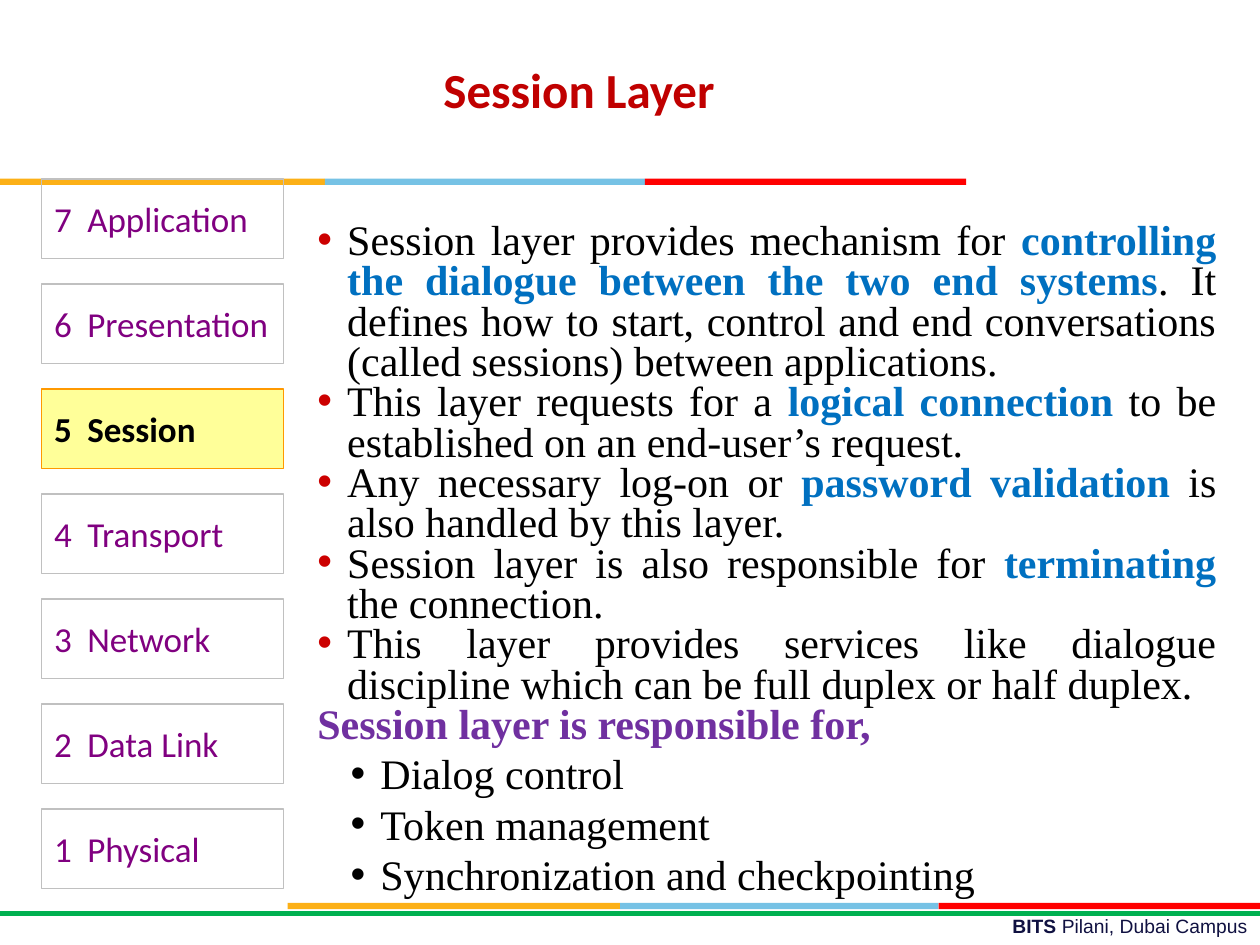
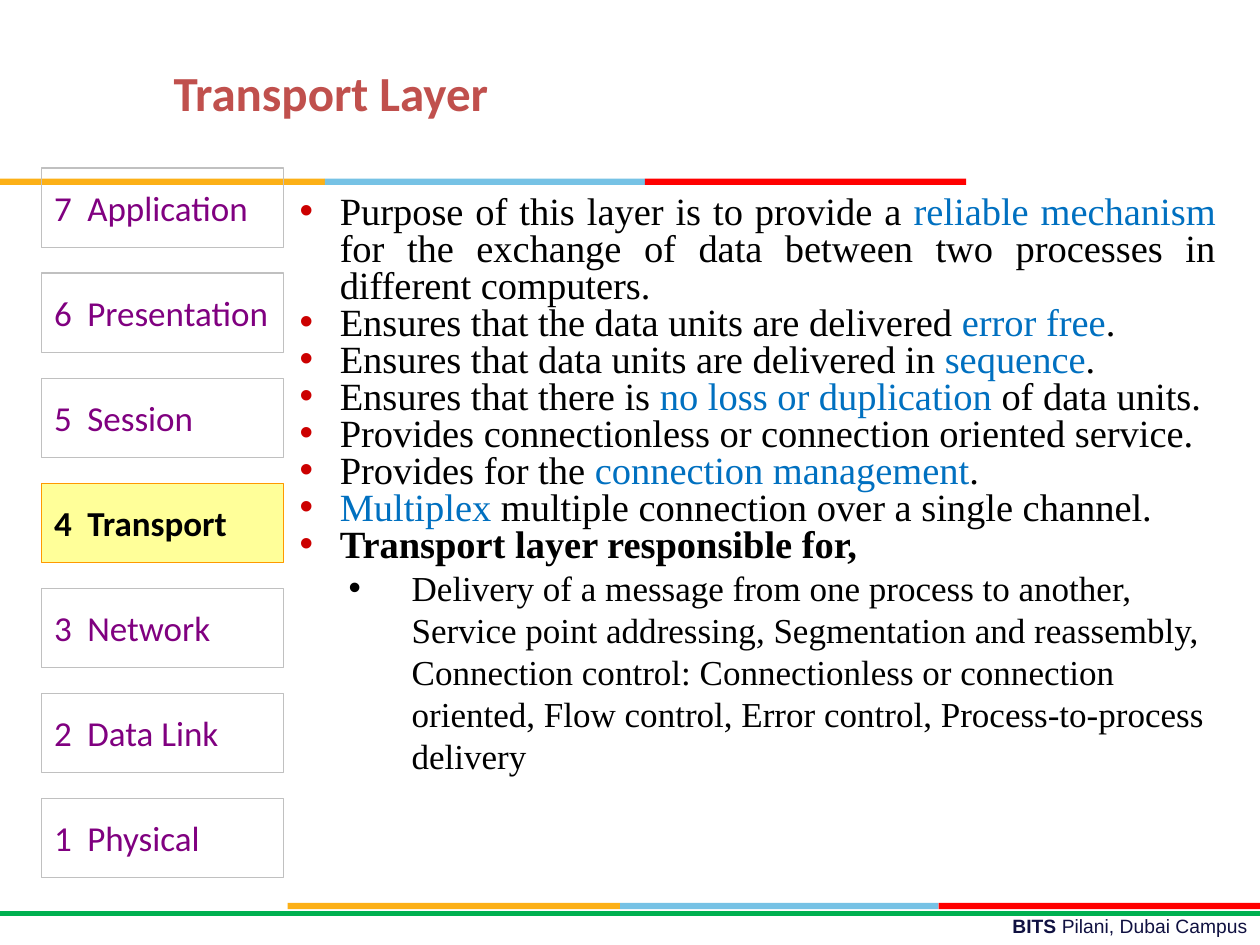
from lxml import etree
from pptx import Presentation
from pptx.dml.color import RGBColor
from pptx.enum import shapes, text
from pptx.oxml import ns
from pptx.util import Cm, Pt

AMBER = RGBColor(0xFC, 0xB0, 0x17)
SKY = RGBColor(0x76, 0xC2, 0xE5)
RED = RGBColor(0xFF, 0x00, 0x00)
GREEN = RGBColor(0x00, 0xB0, 0x50)
NAVY = RGBColor(0x10, 0x11, 0x41)
BLACK = RGBColor(0x00, 0x00, 0x00)
BLUE = RGBColor(0x00, 0x70, 0xC0)
VIOLET = RGBColor(0x70, 0x30, 0xA0)
PURPLE = RGBColor(0x80, 0x00, 0x80)
SILVER = RGBColor(0xC0, 0xC0, 0xC0)
YELLOW = RGBColor(0xFF, 0xFF, 0x99)
ORANGE = RGBColor(0xFF, 0x99, 0x00)
CRIMSON = RGBColor(0xC0, 0x00, 0x00)
BRICK = RGBColor(0xC0, 0x50, 0x4D)
BULLET_RED = RGBColor(0xCC, 0x00, 0x00)

LAYERS = ["Application", "Presentation", "Session", "Transport",
          "Network", "Data Link", "Physical"]
BAND_COLOURS = [AMBER, SKY, RED]
TOP_BAND = (3.6, [0, 6.55, 13, 19.48])
BOTTOM_BAND = (18.2, [5.8, 12.5, 18.92, 25.4])
FOOTER = [("BITS ", NAVY, True), ("Pilani, Dubai Campus", NAVY, False)]

LINE_HEIGHT = 1.2
TIGHT = 0.8

# Each paragraph is (kind, pieces); every second piece is highlighted.
SLIDES = [
    {
        "title": "Session Layer",
        "title_colour": CRIMSON,
        "title_area": (8.69, 1.07, 10.59, 1.45),
        "current": "Session",
        "stack_top": 3.61,
        "area": (6.15, 4.38, 18.62, 13.8),
        "highlight_bold": True,
        "sizes": {"point": 24, "heading": 24, "sub": 24},
        "indents": {"point": (0.6, 0.6), "heading": (0, 0), "sub": (1.27, 0.6)},
        "heading_colour": VIOLET,
        "body": [
            ("point", ["Session layer provides mechanism for ",
                       "controlling the dialogue between the two end systems",
                       ". It defines how to start, control and end conversations "
                       "(called sessions) between applications."]),
            ("point", ["This layer requests for a ", "logical connection ",
                       "to be established on an end-user’s request."]),
            ("point", ["Any necessary log-on or ", "password validation ",
                       "is also handled by this layer."]),
            ("point", ["Session layer is also responsible for ", "terminating",
                       " the connection."]),
            ("point", ["This layer provides services like dialogue discipline "
                       "which can be full duplex or half duplex."]),
            ("heading", ["Session layer is responsible for,"]),
            ("sub", ["Dialog control"]),
            ("sub", ["Token management"]),
            ("sub", ["Synchronization and checkpointing"]),
        ],
    },
    {
        "title": "Transport Layer",
        "title_colour": BRICK,
        "title_area": (3.25, 1.14, 8.69, 1.45),
        "current": "Transport",
        "stack_top": 3.39,
        "area": (5.51, 3.84, 19.25, 14.3),
        "highlight_bold": False,
        "sizes": {"point": 22, "heading": 22, "sub": 20},
        "indents": {"point": (1.09, 0.81), "heading": (1.09, 0.81), "sub": (2.54, 1.27)},
        "heading_colour": BLACK,
        "body": [
            ("point", ["Purpose of this layer is to provide a ", "reliable mechanism ",
                       "for the exchange of data between two processes in "
                       "different computers."]),
            ("point", ["Ensures that the data units are delivered ", "error free", "."]),
            ("point", ["Ensures that data units are delivered in ", "sequence", "."]),
            ("point", ["Ensures that there is ", "no loss or duplication ",
                       "of data units."]),
            ("point", ["Provides connectionless or connection oriented service."]),
            ("point", ["Provides for the ", "connection management", "."]),
            ("point", ["", "Multiplex", " multiple connection over a single channel."]),
            ("heading", ["Transport layer responsible for,"]),
            ("sub", ["Delivery of a message from one process to another, Service point "
                     "addressing, Segmentation and reassembly, Connection control: "
                     "Connectionless or connection oriented, Flow control, Error control, "
                     "Process-to-process delivery"]),
        ],
    },
]


def add_spans(para, pieces, font_name, size):
    for wording, colour, bold in pieces:
        span = para.add_run()
        span.text = wording
        span.font.name = font_name
        span.font.size = Pt(size)
        span.font.bold = bold
        span.font.color.rgb = colour


def add_text_box(page, area):
    box = page.shapes.add_textbox(*map(Cm, area))
    box.text_frame.word_wrap = True
    return box.text_frame


def add_rectangle(page, area, fill=None, line=None):
    box = page.shapes.add_shape(shapes.MSO_SHAPE.RECTANGLE, *map(Cm, area))
    box.shadow.inherit = False
    if fill is None:
        box.fill.background()
    else:
        box.fill.solid()
        box.fill.fore_color.rgb = fill
    if line is None:
        box.line.fill.background()
    else:
        box.line.color.rgb = line
        box.line.width = Pt(0.75)
    return box


def add_frame(page):
    footer = add_text_box(page, (9.09, 18.31, 16.31, 0.74)).paragraphs[0]
    footer.alignment = text.PP_ALIGN.RIGHT
    add_spans(footer, FOOTER, "Arial", 11)
    for top, edges in (TOP_BAND, BOTTOM_BAND):
        for left, right, colour in zip(edges, edges[1:], BAND_COLOURS):
            add_rectangle(page, (left, top, right - left, 0.13), colour)
    rule = page.shapes.add_connector(
        shapes.MSO_CONNECTOR.STRAIGHT, Cm(0), Cm(18.42), Cm(25.4), Cm(18.42))
    rule.line.color.rgb = GREEN
    rule.line.width = Pt(3)
    etree.SubElement(rule._element.spPr, ns.qn("a:effectLst"))


def add_stack(page, top, current):
    for row, layer in enumerate(LAYERS):
        active = layer == current
        box = add_rectangle(page, (0.84, top + row * 2.117, 4.88, 1.6),
                            YELLOW if active else None, ORANGE if active else SILVER)
        frame = box.text_frame
        frame.word_wrap = True
        frame.vertical_anchor = text.MSO_ANCHOR.MIDDLE
        para = frame.paragraphs[0]
        para.alignment = text.PP_ALIGN.LEFT
        tabs = etree.SubElement(para._p.get_or_add_pPr(), ns.qn("a:tabLst"))
        etree.SubElement(tabs, ns.qn("a:tab"), pos=str(Cm(0.67)), algn="l")
        label = f"{len(LAYERS) - row}\t{layer}"
        add_spans(para, [(label, BLACK if active else PURPLE, active)], "Calibri", 20)


def set_bullet(para, colour, left, hanging):
    props = para._p.get_or_add_pPr()
    props.set("marL", str(Cm(left)))
    props.set("indent", str(-Cm(hanging)))
    if hanging:
        paint = etree.SubElement(props, ns.qn("a:buClr"))
        etree.SubElement(paint, ns.qn("a:srgbClr"), val=str(colour))
        etree.SubElement(props, ns.qn("a:buFont"), typeface="Arial")
        etree.SubElement(props, ns.qn("a:buChar"), char="•")


def add_body(page, content):
    frame = add_text_box(page, content["area"])
    for index, (kind, pieces) in enumerate(content["body"]):
        para = frame.add_paragraph() if index else frame.paragraphs[0]
        sub, heading = kind == "sub", kind == "heading"
        size = content["sizes"][kind]
        set_bullet(para, BLACK if sub else BULLET_RED, *content["indents"][kind])
        para.level = int(sub)
        para.alignment = text.PP_ALIGN.LEFT if sub else text.PP_ALIGN.JUSTIFY
        para.line_spacing = Pt(size * LINE_HEIGHT * (1 if sub else TIGHT))
        plain = (content["heading_colour"] if heading else BLACK, heading)
        highlight = (BLUE, content["highlight_bold"])
        spans = [(piece, *(highlight if place % 2 else plain))
                 for place, piece in enumerate(pieces) if piece]
        add_spans(para, spans, "Times New Roman", size)


def main():
    deck = Presentation()
    deck.slide_width, deck.slide_height = Cm(25.4), Cm(19.05)
    for content in SLIDES:
        page = deck.slides.add_slide(deck.slide_layouts[6])
        add_frame(page)
        add_stack(page, content["stack_top"], content["current"])
        add_body(page, content)
        title = add_text_box(page, content["title_area"]).paragraphs[0]
        add_spans(title, [(content["title"], content["title_colour"], True)], "Calibri", 28)
    deck.save("out.pptx")


if __name__ == "__main__":
    main()
